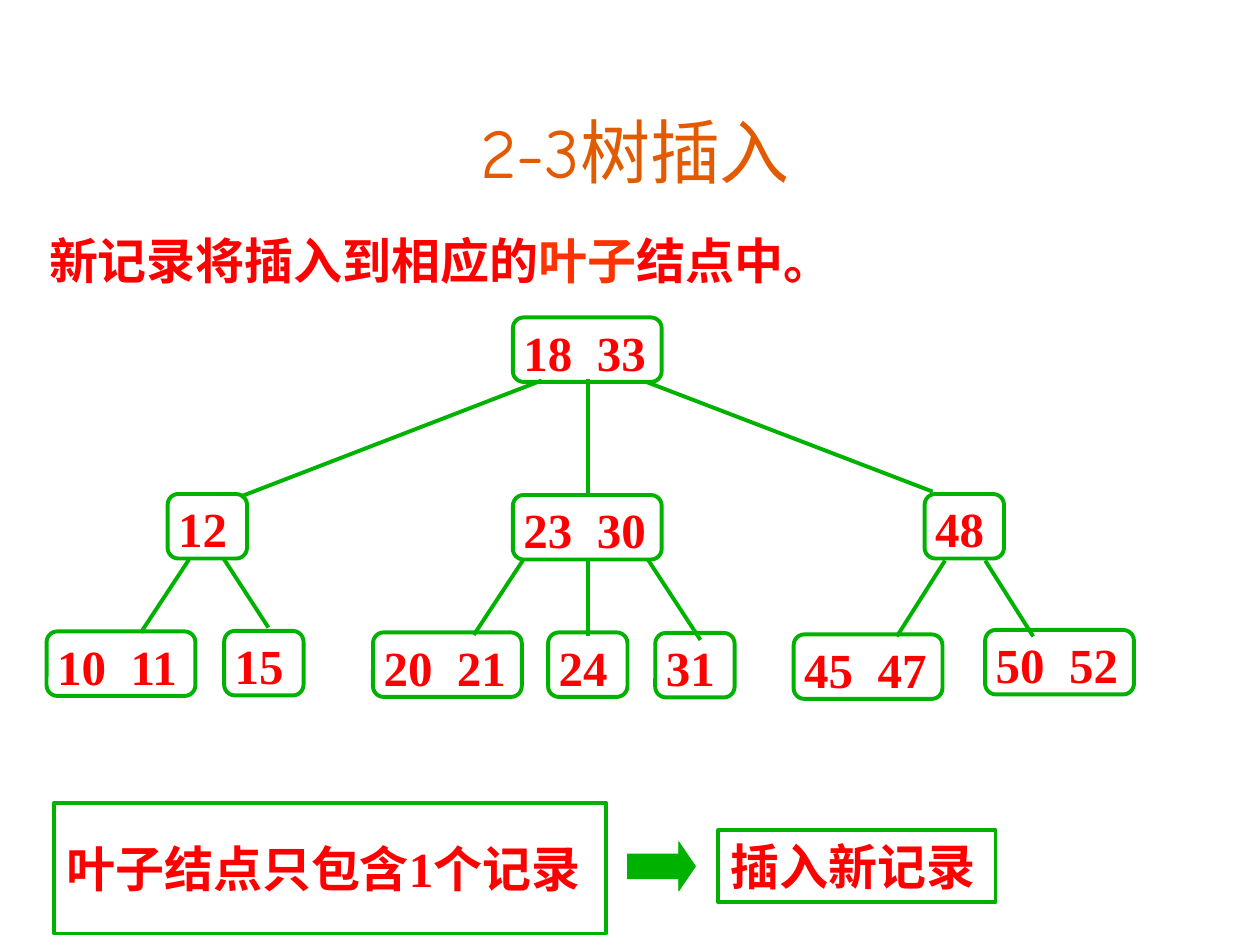
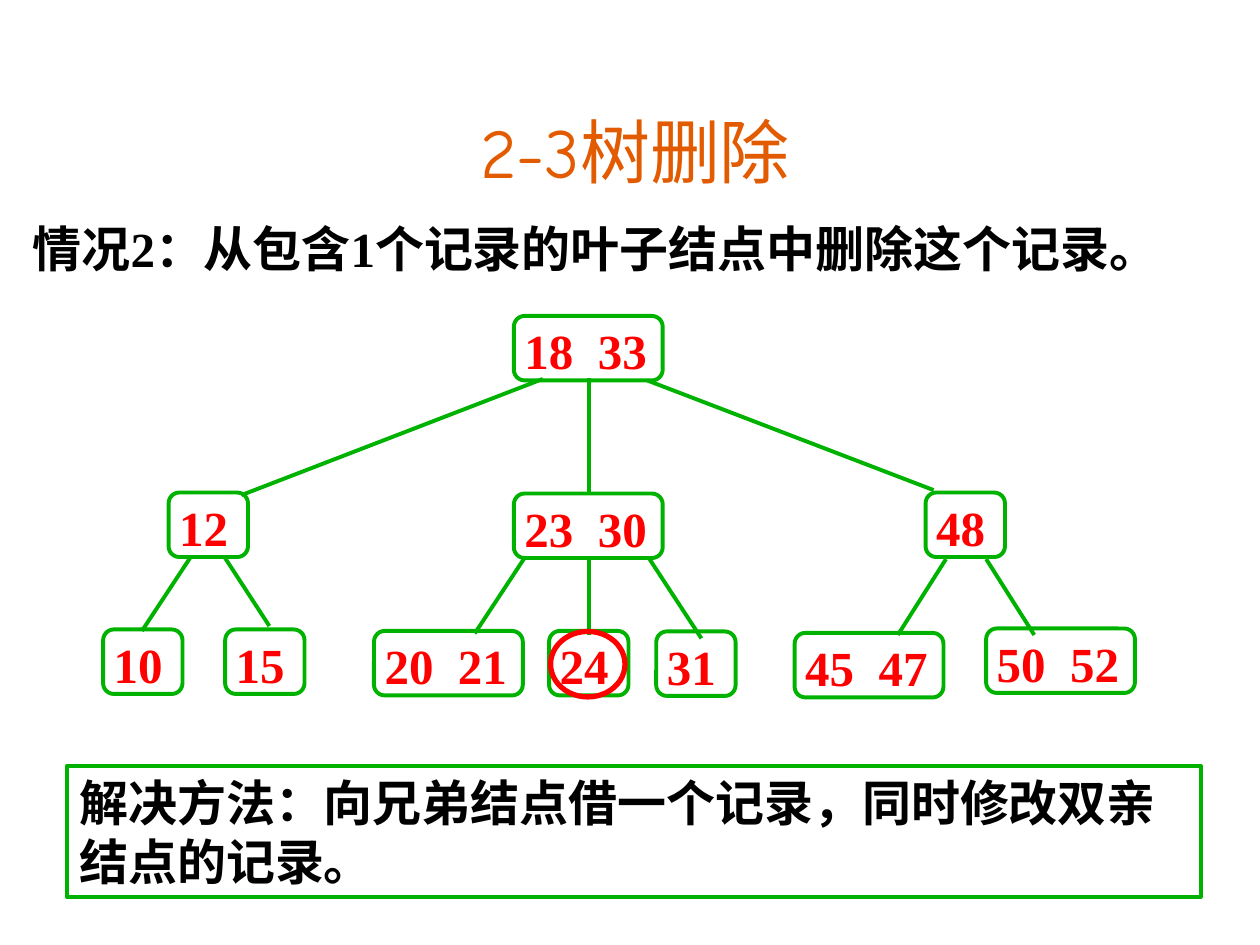
from dataclasses import dataclass

from lxml import etree
from pptx import Presentation
from pptx.dml.color import RGBColor
from pptx.enum.shapes import MSO_CONNECTOR, MSO_SHAPE
from pptx.enum.text import MSO_ANCHOR, PP_ALIGN
from pptx.oxml.ns import qn
from pptx.util import Cm, Pt

STRAIGHT = MSO_CONNECTOR.STRAIGHT
RECT, ROUND_RECT = MSO_SHAPE.RECTANGLE, MSO_SHAPE.ROUNDED_RECTANGLE
ELLIPSE, ARROW = MSO_SHAPE.OVAL, MSO_SHAPE.RIGHT_ARROW
TOP, MIDDLE, BOTTOM = MSO_ANCHOR.TOP, MSO_ANCHOR.MIDDLE, MSO_ANCHOR.BOTTOM
LEFT, CENTER = PP_ALIGN.LEFT, PP_ALIGN.CENTER


@dataclass(frozen=True)
class Theme:
    title: RGBColor = RGBColor(0xE2, 0x5B, 0x00)
    green: RGBColor = RGBColor(0x00, 0xB2, 0x00)
    red: RGBColor = RGBColor(0xFF, 0x00, 0x00)
    leaf: RGBColor = RGBColor(0xFF, 0x33, 0x00)
    black: RGBColor = RGBColor(0x00, 0x00, 0x00)
    title_font: str = "Comic Neue"
    serif: str = "Times New Roman"
    sans: str = "Arial"
    title_size: Pt = Pt(40)
    body_size: Pt = Pt(28)
    line: Pt = Pt(2.25)
    ring: Pt = Pt(3)
    arrow_line: Pt = Pt(0.5)


THEME = Theme()

# All positions are in centimetres.
TITLE_BOX = (1.9, 1.9, 21.8, 2.1)
NODE_WIDTHS = {1: 1.6, 2: 3.0}  # by number of keys
NODE_HEIGHT = 1.3
KEY_TAB = 1.48

# keys, left, top, line from the parent (x1, y1, x2, y2)
UPPER_NODES = [
    ((18, 33), 10.34, 6.4, None),
    ((12,), 3.38, 9.96, (10.92, 7.67, 4.85, 10.01)),
    ((23, 30), 10.34, 9.98, (11.86, 7.65, 11.86, 9.96)),
    ((48,), 18.64, 9.96, (13.03, 7.7, 18.8, 9.91)),
]
LEAVES = [
    ((15,), 4.52, 12.72, (4.5, 11.25, 5.41, 12.65)),
    ((20, 21), 7.52, 12.75, (10.54, 11.3, 9.55, 12.8)),
    ((24,), 11.05, 12.75, (11.86, 11.3, 11.86, 12.83)),
    ((31,), 13.21, 12.76, (13.06, 11.28, 14.12, 12.9)),
    ((45, 47), 16.0, 12.79, (19.05, 11.3, 18.08, 12.83)),
    ((50, 52), 19.86, 12.7, (19.86, 11.3, 20.83, 12.83)),
]
FIRST_LEAF_LINE = (3.81, 11.28, 2.84, 12.75)
FULL_FIRST_LEAF = ((10, 11), 0.94, 12.73, FIRST_LEAF_LINE)
SINGLE_FIRST_LEAF = ((10,), 2.06, 12.72, FIRST_LEAF_LINE)

INSERTION = {
    "title": "2-3树插入",
    "caption": [("新记录将插入到相应的", THEME.red), ("叶子", THEME.leaf),
                ("结点中。", THEME.red)],
    "caption_box": (0.74, 4.52, 16.28, 1.45),
    "caption_font": THEME.sans,
    "first_leaf": FULL_FIRST_LEAF,
    "tree_shift": (0, 0),
    "notes": [("叶子结点只包含1个记录", (1.09, 16.18, 11.13, 2.64), THEME.serif, THEME.red),
              ("插入新记录", (14.48, 16.74, 5.59, 1.45), THEME.sans, THEME.red)],
    "arrow": (12.65, 16.97, 1.37, 0.99),
}
DELETION = {
    "title": "2-3树删除",
    "caption": [("情况2：从包含1个记录的叶子结点中删除这个记录。", THEME.black)],
    "caption_box": (0.41, 4.29, 24.36, 1.45),
    "caption_font": THEME.serif,
    "first_leaf": SINGLE_FIRST_LEAF,
    "tree_shift": (0.02, -0.03),
    "notes": [("解决方法：向兄弟结点借一个记录，同时修改双亲结点的记录。",
               (1.35, 15.44, 22.86, 2.64), THEME.serif, THEME.black)],
    "ring": (11.1, 12.73, 1.5, 1.32),
}


def cm(values):
    return [Cm(v) for v in values]


def style(p, font, color, size=THEME.body_size, bold=True, align=LEFT):
    p.alignment = align
    p.font.name, p.font.size, p.font.bold = font, size, bold
    p.font.color.rgb = color


def add_outline(slide, kind, box, color=THEME.green, width=THEME.line):
    sp = slide.shapes.add_shape(kind, *cm(box))
    sp.shadow.inherit = False
    sp.fill.background()
    sp.line.color.rgb = color
    sp.line.width = width
    return sp


def add_branch(slide, ends):
    line = slide.shapes.add_connector(STRAIGHT, *cm(ends))
    line.line.color.rgb = THEME.green
    line.line.width = THEME.line
    etree.SubElement(line._element.spPr, qn("a:effectLst"))


def add_node(slide, keys, left, top):
    box = (left, top, NODE_WIDTHS[len(keys)], NODE_HEIGHT)
    tf = add_outline(slide, ROUND_RECT, box).text_frame
    tf.vertical_anchor = TOP
    tf.margin_left, tf.margin_top, tf.margin_right, tf.margin_bottom = cm(
        (0.15, 0.03, 0.05, 0.03))
    p = tf.paragraphs[0]
    p.text = "\t".join(str(key) for key in keys)
    if len(keys) > 1:
        tabs = etree.SubElement(p._p.get_or_add_pPr(), qn("a:tabLst"))
        etree.SubElement(tabs, qn("a:tab"), pos=str(Cm(KEY_TAB)), algn="l")
    style(p, THEME.serif, THEME.red)


def add_tree(slide, first_leaf, shift):
    dx, dy = shift
    for keys, left, top, branch in [*UPPER_NODES, first_leaf, *LEAVES]:
        if branch:
            x1, y1, x2, y2 = branch
            add_branch(slide, (x1 + dx, y1 + dy, x2 + dx, y2 + dy))
        add_node(slide, keys, left + dx, top + dy)


def add_title(slide, text):
    sp = slide.shapes.title
    sp.left, sp.top, sp.width, sp.height = cm(TITLE_BOX)
    tf = sp.text_frame
    tf.text = text
    tf.vertical_anchor = BOTTOM
    style(tf.paragraphs[0], THEME.title_font, THEME.title, THEME.title_size, False, CENTER)


def add_caption(slide, parts, box, font):
    tf = slide.shapes.add_textbox(*cm(box)).text_frame
    tf.word_wrap = False
    p = tf.paragraphs[0]
    style(p, font, parts[0][1])
    for text, color in parts:
        r = p.add_run()
        r.text = text
        r.font.color.rgb = color


def add_note(slide, text, box, font, color):
    tf = add_outline(slide, RECT, box).text_frame
    tf.vertical_anchor = MIDDLE
    tf.text = text
    style(tf.paragraphs[0], font, color)


def add_arrow(slide, box):
    sp = add_outline(slide, ARROW, box, width=THEME.arrow_line)
    sp.fill.solid()
    sp.fill.fore_color.rgb = THEME.green
    sp.adjustments[1] = 0.34


def build_slide(prs, content):
    slide = prs.slides.add_slide(prs.slide_layouts.get_by_name("Title Only"))
    add_title(slide, content["title"])
    add_caption(slide, content["caption"], content["caption_box"], content["caption_font"])
    add_tree(slide, content["first_leaf"], content["tree_shift"])
    for note in content["notes"]:
        add_note(slide, *note)
    if "arrow" in content:
        add_arrow(slide, content["arrow"])
    if "ring" in content:
        add_outline(slide, ELLIPSE, content["ring"], THEME.red, THEME.ring)


def main():
    prs = Presentation()
    prs.slide_width, prs.slide_height = Cm(25.4), Cm(19.05)
    for content in (INSERTION, DELETION):
        build_slide(prs, content)
    prs.save("out.pptx")


if __name__ == "__main__":
    main()
